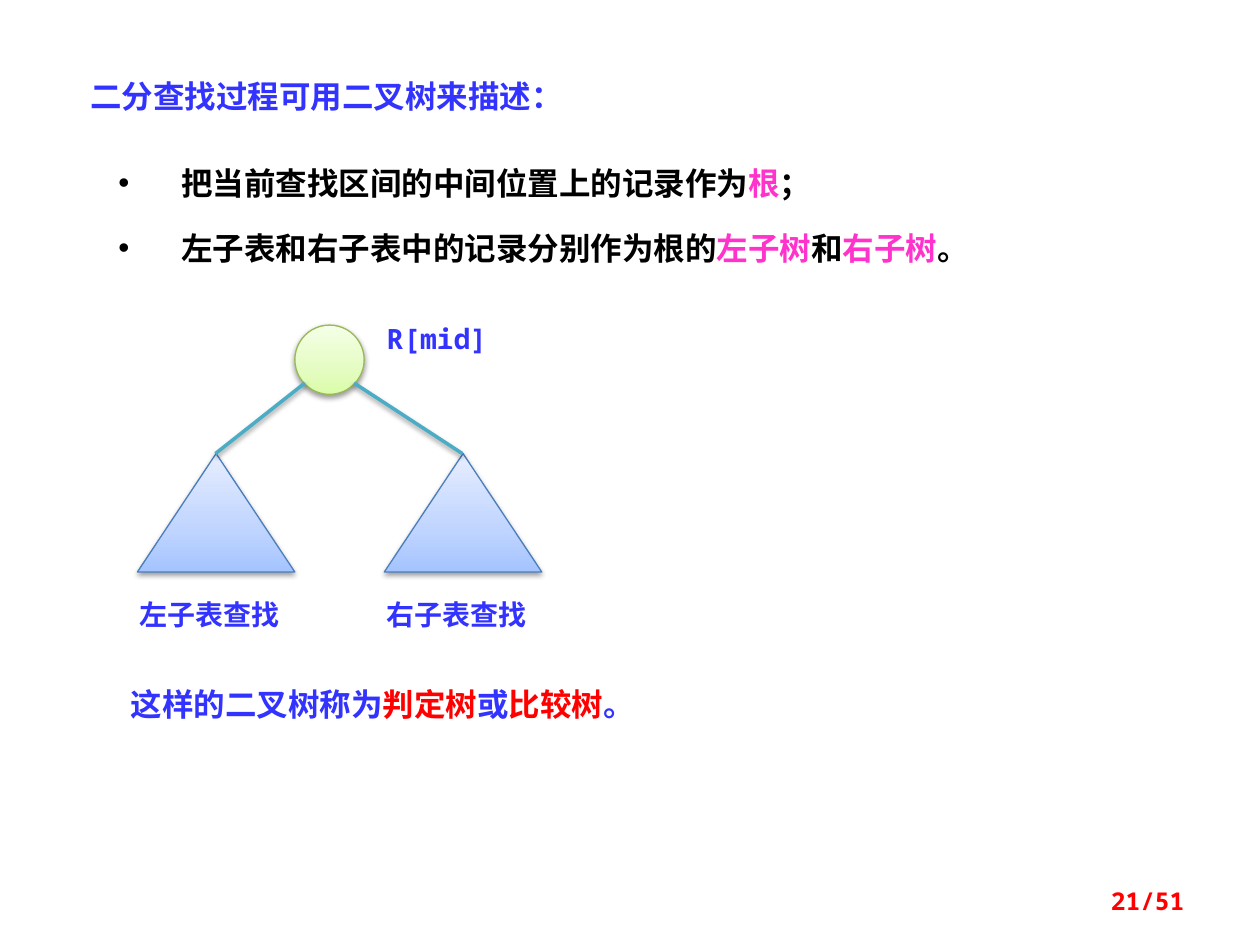
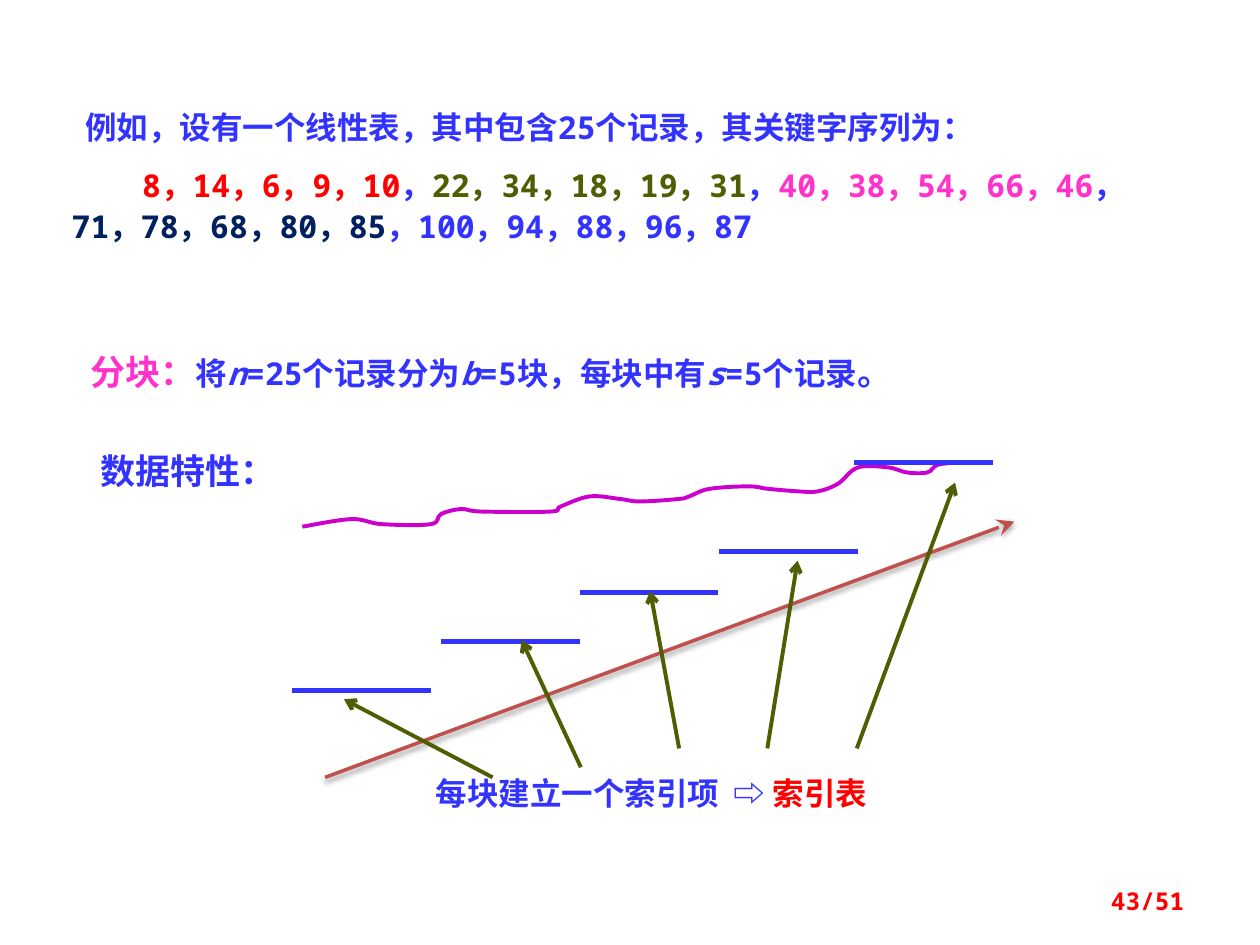
from dataclasses import dataclass

from lxml.etree import SubElement
from pptx import Presentation
from pptx.dml.color import RGBColor
from pptx.enum.shapes import MSO_CONNECTOR as Conn, MSO_SHAPE as Geom
from pptx.enum.text import MSO_ANCHOR as Anchor, PP_ALIGN as Align
from pptx.oxml import parse_xml
from pptx.oxml.ns import nsdecls, qn
from pptx.util import Pt

# Shared look
PX = 9144  # 100 px to the inch
BLUE, RED, PINK, OLIVE = "3333FF", "FF0000", "FF33CC", "4F5E02"
NAVY, BLACK, WHITE = "002060", "000000", "FFFFFF"
CJK, MONO, SERIF = "Noto Sans CJK SC", "Noto Sans Mono", "Times New Roman"
GREENS = ("DAFDA7", "E4FCC2", "F5FFE7")
BLUES = ("A4C4FF", "BFD4FF", "E6EEFF")
PAGES = 51


@dataclass
class Run:
    text: str
    color: str = ""
    size: int = 0
    italic: bool = False
    gap: float = 0  # extra letter spacing in points


@dataclass
class Para:
    runs: list[Run]
    font: str = CJK
    size: int = 18
    color: str = BLUE
    align: Align = Align.LEFT
    lead: float = 1.0
    before: int = 0
    left: int = 0
    indent: int = 0
    bullet: str = ""


@dataclass
class Box:
    x: int
    y: int
    w: int
    h: int


@dataclass
class Line:
    x1: int
    y1: int
    x2: int
    y2: int
    color: str
    width: float
    head: str = ""
    big: str = "med"
    shade: bool = False


def px(n: float) -> int:
    return round(n * PX)


def rgb(code: str) -> RGBColor:
    return RGBColor.from_string(code)


# Text
def put_text(shape, paras: list[Para], pads=(10, 5, 10, 5), anchor=Anchor.TOP) -> None:
    frame = shape.text_frame
    frame.word_wrap = True
    frame.vertical_anchor = anchor
    (frame.margin_left, frame.margin_top,
     frame.margin_right, frame.margin_bottom) = map(px, pads)
    for i, para in enumerate(paras):
        p = frame.add_paragraph() if i else frame.paragraphs[0]
        p.alignment, p.line_spacing = para.align, para.lead
        if para.before and i:
            p.space_before = Pt(para.before)
        props = p._p.get_or_add_pPr()
        props.set("marL", str(px(para.left)))
        props.set("indent", str(px(para.indent)))
        if para.bullet:
            SubElement(props, qn("a:buFont")).set("typeface", "Arial")
            SubElement(props, qn("a:buChar")).set("char", para.bullet)
        font = p.font
        font.name, font.size, font.bold = para.font, Pt(para.size), True
        font.color.rgb = rgb(para.color)
        SubElement(props.find(qn("a:defRPr")), qn("a:ea")).set("typeface", CJK)
        for run in para.runs:
            r = p.add_run()
            r.text = run.text
            if run.color:
                r.font.color.rgb = rgb(run.color)
            if run.size:
                r.font.size = Pt(run.size)
            if run.italic:
                r.font.italic = True
            if run.gap:
                r._r.get_or_add_rPr().set("spc", str(round(run.gap * 100)))


def add_text(slide, box: Box, *paras: Para, anchor=Anchor.TOP) -> None:
    shape = slide.shapes.add_textbox(px(box.x), px(box.y), px(box.w), px(box.h))
    put_text(shape, list(paras), anchor=anchor)


def add_page(slide, number: int) -> None:
    para = Para([Run(f"{number}/{PAGES}")], MONO, 14, RED, Align.RIGHT)
    add_text(slide, Box(717, 695, 233, 40), para, anchor=Anchor.MIDDLE)


# Shapes and lines
def add_shade(props) -> None:
    effects = props.find(qn("a:effectLst"))
    effects.append(parse_xml(
        f'<a:outerShdw {nsdecls("a")} blurRad="{Pt(3.1)}" dist="{Pt(1.6)}" '
        'dir="5400000" rotWithShape="0"><a:srgbClr val="000000">'
        '<a:alpha val="38000"/></a:srgbClr></a:outerShdw>'))


def add_node(slide, geom: Geom, box: Box, tints: tuple, edge: str) -> None:
    shape = slide.shapes.add_shape(geom, px(box.x), px(box.y), px(box.w), px(box.h))
    shape.fill.background()
    shape.line.color.rgb = rgb(edge)
    shape.line.width = Pt(0.75)
    shape.shadow.inherit = False
    props = shape._element.spPr
    stops = "".join(f'<a:gs pos="{at * 1000}"><a:srgbClr val="{tint}"/></a:gs>'
                    for at, tint in zip((0, 35, 100), tints))
    props.replace(props.find(qn("a:noFill")), parse_xml(
        f'<a:gradFill {nsdecls("a")} rotWithShape="1"><a:gsLst>{stops}</a:gsLst>'
        '<a:lin ang="16200000" scaled="0"/></a:gradFill>'))
    add_shade(props)


def add_line(slide, line: Line) -> None:
    ends = map(px, (line.x1, line.y1, line.x2, line.y2))
    conn = slide.shapes.add_connector(Conn.STRAIGHT, *ends)
    conn.line.color.rgb = rgb(line.color)
    conn.line.width = Pt(line.width)
    props = conn._element.spPr
    if line.head:
        tip = SubElement(props.find(qn("a:ln")), qn("a:tailEnd"))
        for key, value in (("type", line.head), ("w", line.big), ("len", line.big)):
            tip.set(key, value)
    SubElement(props, qn("a:effectLst"))
    if line.shade:
        add_shade(props)


def add_curve(slide, knots: list[tuple], color: str, width: float) -> None:
    """Draw a smooth curve (Catmull-Rom, as Bezier parts) through the knots."""
    points = [(px(x), px(y)) for x, y in knots]
    pen = slide.shapes.build_freeform(*points[0])
    pen.add_line_segments(points[1:], close=False)
    shape = pen.convert_to_shape()
    shape.fill.background()
    shape.line.color.rgb = rgb(color)
    shape.line.width = Pt(width)
    shape.shadow.inherit = False
    local = [(x - shape.left, y - shape.top) for x, y in points]
    pad = [local[0], *local, local[-1]]
    parts = list(shape._element.iter(qn("a:lnTo")))
    for part, a, b, c, d in zip(parts, pad, pad[1:], pad[2:], pad[3:]):
        first = [q + (r - p) / 6 for p, q, r in zip(a, b, c)]
        second = [q - (r - p) / 6 for p, q, r in zip(b, c, d)]
        spots = "".join(f'<a:pt x="{round(x)}" y="{round(y)}"/>'
                        for x, y in (first, second, c))
        part.getparent().replace(part, parse_xml(
            f'<a:cubicBezTo {nsdecls("a")}>{spots}</a:cubicBezTo>'))


# Slide 1: the decision tree
def draw_tree(slide) -> None:
    add_text(slide, Box(62, 47, 547, 45),
             Para([Run("二分查找过程可用二叉树来描述：")], SERIF, lead=1.3))
    add_text(slide, Box(94, 539, 523, 40), Para([
        Run("这样的二叉树称为"), Run("判定树", RED), Run("或"),
        Run("比较树", RED), Run("。")], SERIF))

    rules = slide.shapes.add_shape(Geom.RECTANGLE, px(78), px(109), px(711), px(118))
    rules.fill.solid()
    rules.fill.fore_color.rgb = rgb(WHITE)
    rules.line.fill.background()
    rules.shadow.inherit = False
    items = (
        [Run("把当前查找区间的中间位置上的记录作为"), Run("根", PINK), Run("；")],
        [Run("左子表和右子表中的记录分别作为根的"), Run("左子树", PINK),
         Run("和"), Run("右子树", PINK), Run("。")],
    )
    put_text(rules, [Para(runs, color=BLACK, align=Align.JUSTIFY, lead=1.3, before=9,
                          left=50, indent=-50, bullet="•") for runs in items],
             pads=(16, 12, 10, 12))

    add_node(slide, Geom.OVAL, Box(234, 258, 55, 55), GREENS, "98B955")
    add_text(slide, Box(297, 250, 109, 37), Para([Run("R[mid]")], MONO, 16))
    for x, root, name in ((109, 242, "左子表查找"), (305, 281, "右子表查找")):
        add_node(slide, Geom.ISOSCELES_TRIANGLE, Box(x, 360, 125, 94), BLUES, "4B7EBC")
        add_text(slide, Box(x - 8, 469, 133, 37), Para([Run(name)], size=16))
        add_line(slide, Line(root, 304, x + 62, 360, "4BACC6", 2, shade=True))
    add_page(slide, 21)


# Slide 2: blocks and their index
def draw_blocks(slide) -> None:
    keys = [Run("8，14，6，9，10", RED), Run("，"), Run("22，34，18，19，31", OLIVE),
            Run("，"), Run("40，38，54，66，46", PINK), Run("，"),
            Run("71，78，68，80，85", NAVY), Run("，100，94，88，96，87")]
    intro = [Run("例如，设有一个线性表，其中包含25个记录，其关键字序列为：")]
    add_text(slide, Box(47, 78, 898, 123),
             Para(intro, MONO, lead=1.1, indent=11),
             Para(keys, MONO, lead=1.1, before=9, indent=56))
    add_text(slide, Box(62, 273, 742, 44), Para([
        Run("分块：", PINK, 20), Run("将"), Run("n", italic=True),
        Run("=25个记录分为"), Run("b", italic=True), Run("=5块，每块中有"),
        Run("s", italic=True), Run("=5个记录"), Run("。", size=20)], MONO))

    # Key values, block by block
    add_curve(slide, [
        (240, 418), (279, 412), (303, 416), (342, 416), (350, 408), (366, 404),
        (382, 406), (437, 406), (445, 402), (468, 394), (492, 396), (508, 398),
        (539, 396), (547, 394), (563, 388), (594, 386), (610, 388), (634, 390),
        (649, 390), (665, 384), (681, 371), (705, 371), (720, 375), (736, 375),
        (744, 369), (760, 367)], "CC00CC", 2.25)
    for x, y in ((232, 548), (350, 509), (460, 470), (571, 438), (678, 367)):
        add_line(slide, Line(x, y, x + 110, y, BLUE, 3))
    add_line(slide, Line(258, 617, 805, 414, "C0504D", 2, "stealth", "lg", True))
    add_text(slide, Box(70, 352, 211, 44), Para([Run("数据特性：")], size=20))

    # Index entries
    add_text(slide, Box(336, 609, 500, 40), Para([
        Run("每块建立一个索引项"), Run(" ", gap=4.3), Run("⇨ "), Run("索引表", RED)]))
    for ends in ((391, 617, 273, 555), (461, 609, 414, 508), (539, 594, 516, 469),
                 (609, 594, 633, 445), (680, 594, 758, 383)):
        add_line(slide, Line(*ends, OLIVE, 2.25, "arrow"))
    add_page(slide, 43)


def main() -> None:
    deck = Presentation()
    deck.slide_width, deck.slide_height = px(1000), px(750)
    for draw in (draw_tree, draw_blocks):
        draw(deck.slides.add_slide(deck.slide_layouts[6]))
    deck.save("out.pptx")


if __name__ == "__main__":
    main()
